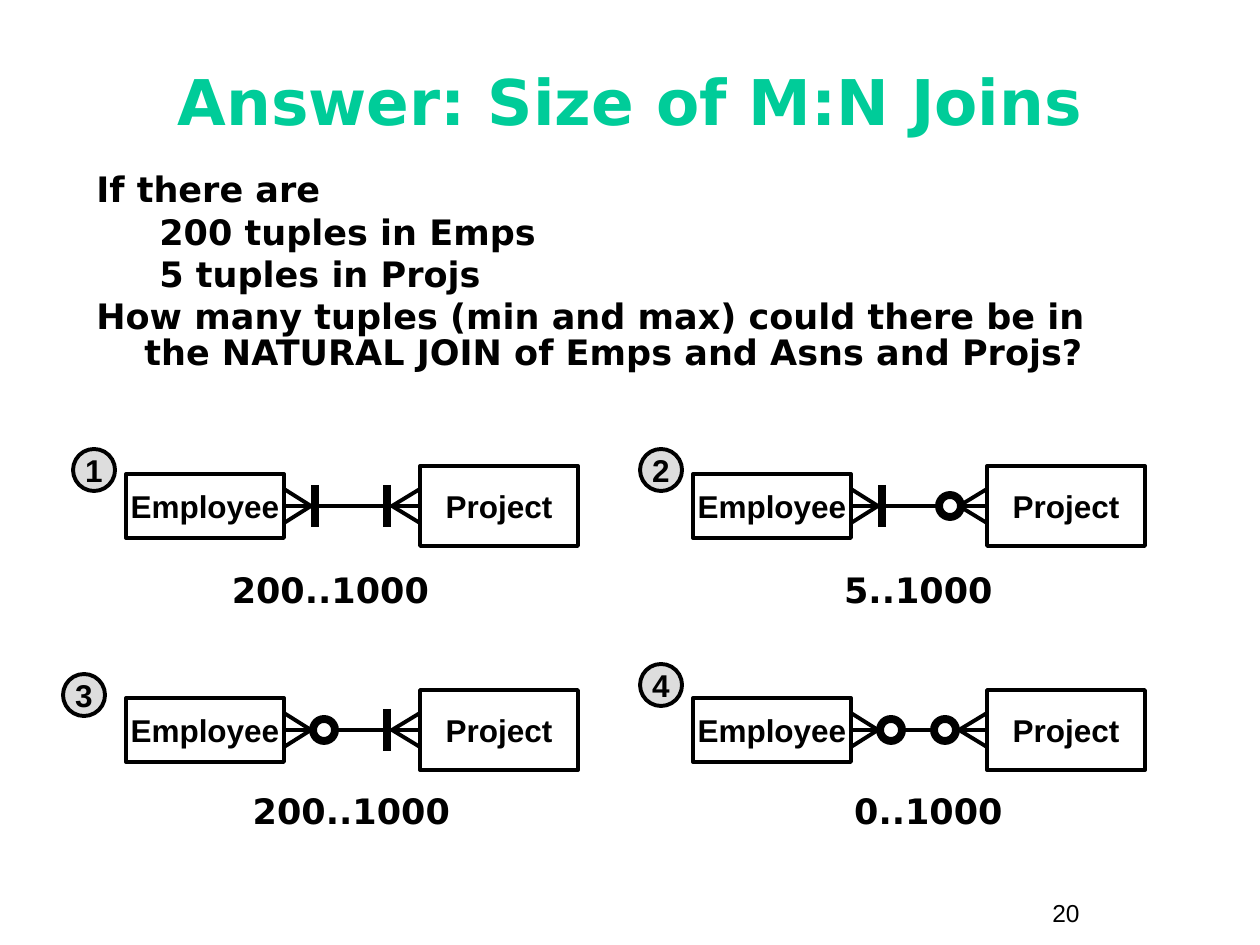
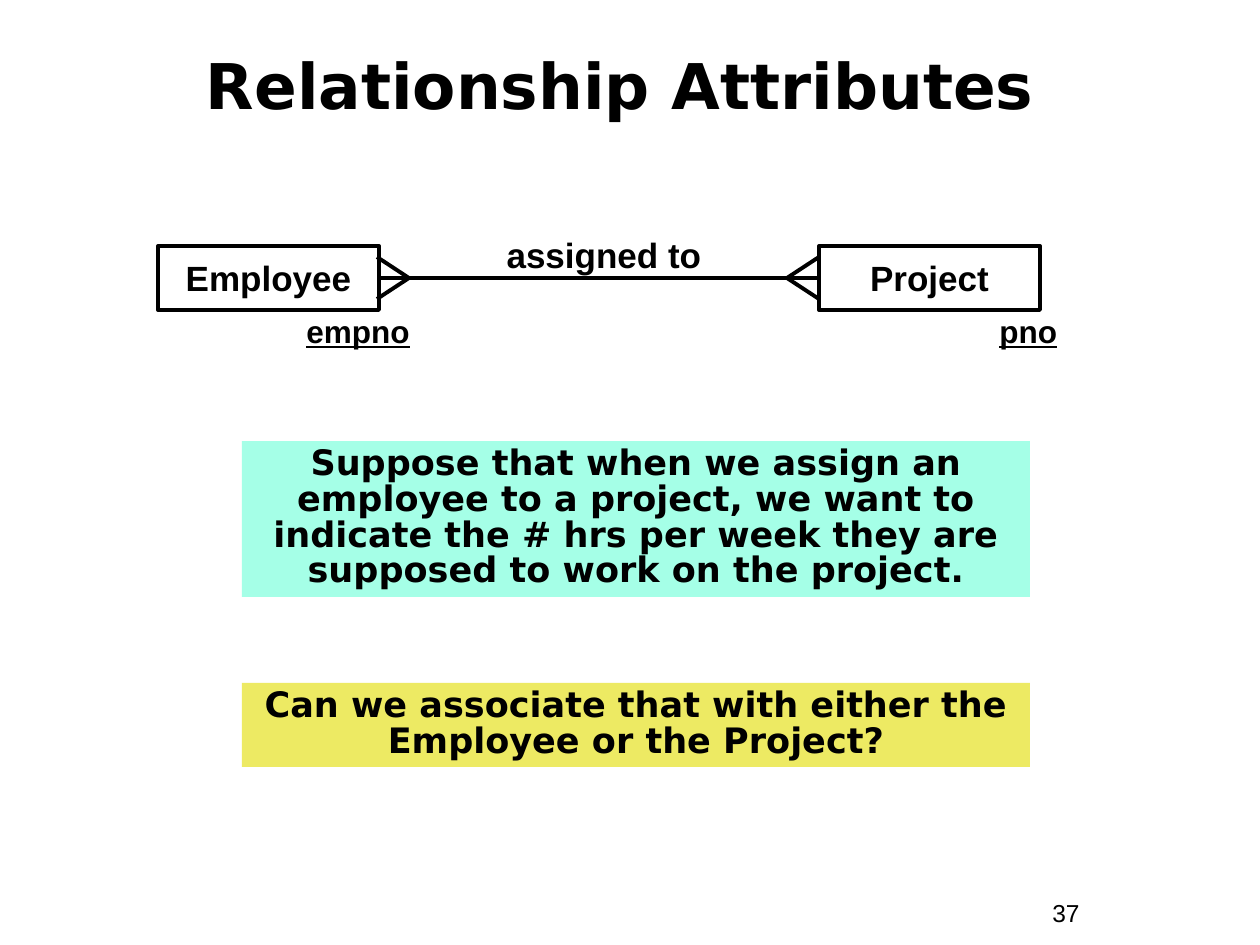
from lxml import etree
from pptx import Presentation
from pptx.dml.color import RGBColor
from pptx.enum.shapes import MSO_CONNECTOR, MSO_SHAPE
from pptx.enum.text import MSO_ANCHOR, PP_ALIGN
from pptx.oxml.ns import qn
from pptx.util import Pt

SCALE = 914400 / 126
BLACK = RGBColor(0x00, 0x00, 0x00)
GREEN = RGBColor(0x00, 0xCC, 0x99)
GREY = RGBColor(0xDD, 0xDD, 0xDD)
MINT = RGBColor(0xA5, 0xFF, 0xE7)
YELLOW = RGBColor(0xED, 0xEA, 0x63)
RECT, OVAL = MSO_SHAPE.RECTANGLE, MSO_SHAPE.OVAL
STRAIGHT = MSO_CONNECTOR.STRAIGHT
TOP, MIDDLE = MSO_ANCHOR.TOP, MSO_ANCHOR.MIDDLE
LEFT, CENTER = PP_ALIGN.LEFT, PP_ALIGN.CENTER
WEST, EAST = 1, 3
THIN, THICK = Pt(2.25), Pt(4.5)

SANS, ARIAL = "DejaVu Sans", "Arial"
TITLE = {"name": SANS, "size": Pt(36), "bold": True}
BODY = {"name": SANS, "size": Pt(20), "bold": True}
LABEL = {"name": ARIAL, "size": Pt(18), "bold": True}
LARGE = {**LABEL, "size": Pt(20)}
KEY = {**LABEL, "underline": True}
FOOT = {"name": ARIAL, "size": Pt(14)}


def px(*sizes):
    return [round(size * SCALE) for size in sizes]


def style(para, font, color=BLACK, **layout):
    for name, value in layout.items():
        setattr(para, name, value)
    for name, value in font.items():
        setattr(para.font, name, value)
    para.font.color.rgb = color


def write(shape, text, font, color=BLACK, anchor=TOP, wrap=True, **layout):
    frame = shape.text_frame
    frame.word_wrap, frame.vertical_anchor = wrap, anchor
    frame.text = text
    style(frame.paragraphs[0], font, color, **layout)


def add_text(slide, box, text, font, **form):
    write(slide.shapes.add_textbox(*px(*box)), text, font, **form)


def add_shape(slide, kind, box, fill=None, width=None):
    shape = slide.shapes.add_shape(kind, *px(*box))
    shape.shadow.inherit = False
    if fill is None:
        shape.fill.background()
    else:
        shape.fill.solid()
        shape.fill.fore_color.rgb = fill
    if width is None:
        shape.line.fill.background()
    else:
        shape.line.color.rgb = BLACK
        shape.line.width = width
    return shape


def add_line(slide, start, end, width=THIN, left=None, right=None):
    """Joins the line to the east side of left and the west side of right."""
    line = slide.shapes.add_connector(STRAIGHT, *px(*start, *end))
    line.line.color.rgb = BLACK
    line.line.width = width
    etree.SubElement(line._element.spPr, qn("a:effectLst"))
    if left is not None:
        line.begin_connect(left, EAST)
    if right is not None:
        line.end_connect(right, WEST)


def add_box(slide, box, text, font):
    shape = add_shape(slide, RECT, box, width=THIN)
    write(shape, text, font, anchor=MIDDLE, wrap=False, alignment=CENTER)
    return shape


def add_crow(slide, tip, edge, mid, spread):
    for side in (-spread, spread):
        add_line(slide, (tip, mid), (edge, mid + side))


def add_badge(slide, x, y, text):
    badge = add_shape(slide, OVAL, (x, y, 42, 42), GREY, THIN)
    write(badge, text, LABEL, anchor=MIDDLE, wrap=False, alignment=CENTER)


def add_mark(slide, x, mid, ring):
    """Draws a ring for an optional side, a bar for a required one."""
    if ring:
        add_shape(slide, OVAL, (x - 11, mid - 11, 22, 22), width=THICK)
    else:
        add_line(slide, (x, mid - 21), (x, mid + 21), THICK)


def add_join(slide, x, mid, rings, ring_x):
    """Draws one employee-project pair, x being its left and mid its axis."""
    staff = add_box(slide, (x, mid - 32, 158, 64), "Employee", LABEL)
    work = add_box(slide, (x + 294, mid - 40, 158, 80), "Project", LABEL)
    near, far = rings
    start, end = x + 158, x + 294
    left = x + (198 if near else 189)
    right = x + (ring_x if far else 261)
    add_crow(slide, x + 185, start, mid, 17)
    add_crow(slide, x + 266, end, mid, 17)
    if near:
        add_line(slide, (start, mid), (x + 184, mid), left=staff)
    if far:
        add_line(slide, (right + 14, mid), (end, mid), right=work)
    add_line(slide, (left + 14 if near else start, mid),
             (right - 14 if far else end, mid),
             left=None if near else staff, right=None if far else work)
    add_mark(slide, left, mid, near)
    add_mark(slide, right, mid, far)


def add_frame(deck, title, box, color, number):
    slide = deck.slides.add_slide(deck.slide_layouts[6])
    add_text(slide, (1040, 892, 116, 43), number, FOOT)
    add_text(slide, box, title, TITLE, color=color, anchor=MIDDLE,
             alignment=CENTER)
    return slide


def add_body(slide, box, lines):
    """Writes (level, text) lines with hanging indents."""
    frame = slide.shapes.add_textbox(*px(*box)).text_frame
    frame.word_wrap = True
    for row, (level, text) in enumerate(lines):
        para = frame.add_paragraph() if row else frame.paragraphs[0]
        para.text = text
        margin, indent = px(*((102, -39) if level else (48, -48)))
        props = para._p.get_or_add_pPr()
        props.set("marL", str(margin))
        props.set("indent", str(indent))
        style(para, BODY, level=level, line_spacing=0.85,
              space_before=Pt(3.7 if row else 0))


def add_note(slide, box, text, fill):
    write(add_shape(slide, RECT, box, fill), text, BODY,
          alignment=CENTER, line_spacing=0.85)


def build_sizes(deck):
    slide = add_frame(deck, "Answer: Size of M:N Joins",
                      (42, 42, 1176, 116), GREEN, "20")
    add_body(slide, (84, 168, 1071, 220), [
        (0, "If there are"),
        (1, "200 tuples in Emps"),
        (1, "5 tuples in Projs"),
        (0, "How many tuples (min and max) could there be in "
            "the NATURAL JOIN of Emps and Asns and Projs?"),
    ])
    # rings, ring place, badge place, answer place, answer
    joins = [
        ((False, False), 257, (73, 449), (168, 567), "200..1000"),
        ((False, True), 257, (640, 449), (756, 567), "5..1000"),
        ((True, False), 252, (63, 674), (189, 788), "200..1000"),
        ((True, True), 252, (640, 664), (766, 788), "0..1000"),
    ]
    for index, (rings, ring_x, badge, place, answer) in enumerate(joins):
        row, col = divmod(index, 2)
        add_join(slide, 126 + 567 * col, 506 + 224 * row, rings, ring_x)
        add_badge(slide, *badge, str(index + 1))
        add_text(slide, (*place, 325, 50), answer, BODY,
                 alignment=CENTER, line_spacing=0.9)


def add_link(slide, x, y):
    """Draws the wide employee-project link with its keys."""
    mid, right = y + 32, x + 661
    staff = add_box(slide, (x, y, 221, 64), "Employee", LARGE)
    work = add_box(slide, (right, y, 221, 64), "Project", LARGE)
    add_line(slide, (x + 221, mid), (right, mid), left=staff, right=work)
    add_crow(slide, x + 251, x + 219, mid, 21)
    add_crow(slide, right - 32, right, mid, 21)
    add_text(slide, (x + 315, y - 19, 262, 55), "assigned to", LARGE,
             alignment=CENTER)
    for left, key in ((x + 136, "empno"), (x + 829, "pno")):
        add_text(slide, (left, y + 64, 147, 47), key, KEY,
                 alignment=LEFT, line_spacing=0.9)


def build_traits(deck):
    slide = add_frame(deck, "Relationship Attributes",
                      (32, 42, 1176, 84), BLACK, "37")
    add_link(slide, 158, 246)
    add_note(slide, (242, 441, 788, 156),
             "Suppose that when we assign an employee to a project, we want "
             "to indicate the # hrs per week they are supposed to work on "
             "the project.", MINT)
    add_note(slide, (242, 683, 788, 84),
             "Can we associate that with either the Employee or the Project?",
             YELLOW)


def main():
    deck = Presentation()
    deck.slide_width, deck.slide_height = px(1260, 945)
    build_sizes(deck)
    build_traits(deck)
    deck.save("out.pptx")


if __name__ == "__main__":
    main()
